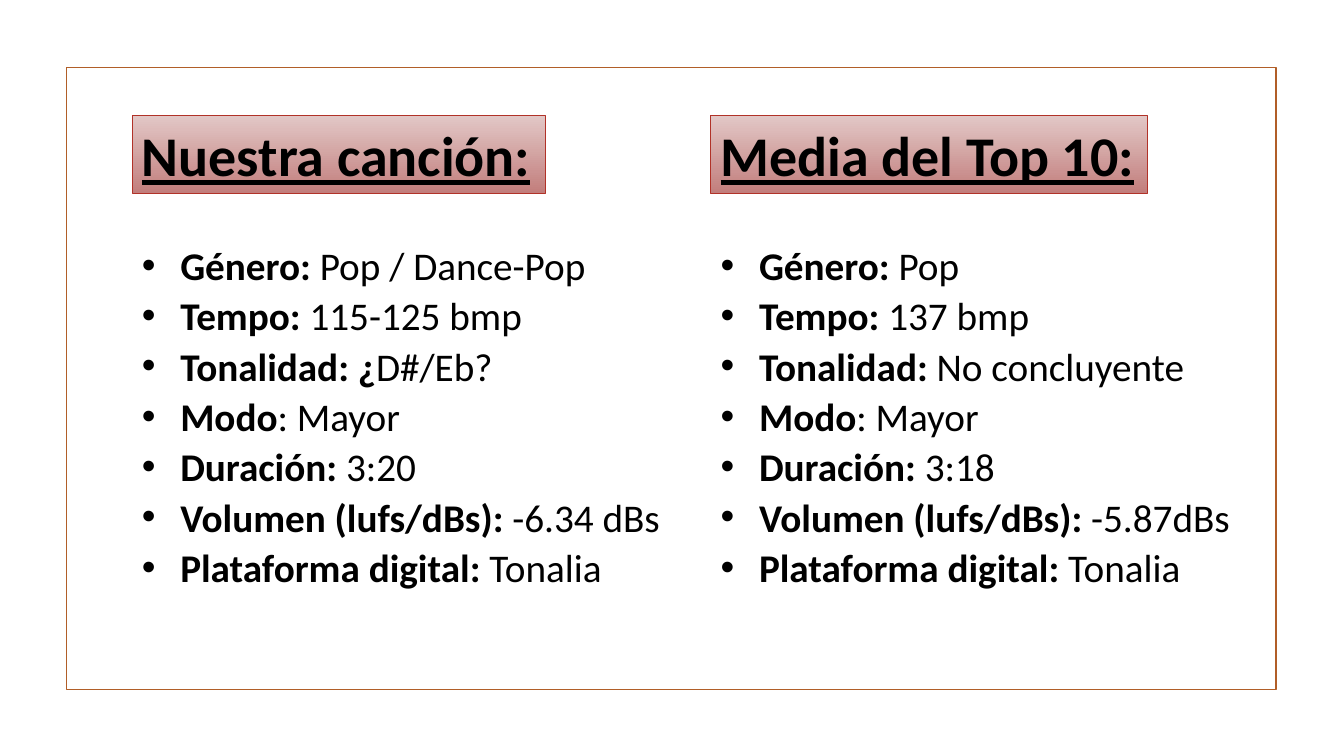
from dataclasses import dataclass

from lxml.etree import SubElement
from pptx import Presentation
from pptx.dml.color import RGBColor
from pptx.enum.shapes import MSO_SHAPE
from pptx.enum.text import MSO_ANCHOR, MSO_AUTO_SIZE, PP_ALIGN
from pptx.oxml.ns import qn
from pptx.util import Inches, Pt

FONT = "Calibri"
BLACK = "000000"
FRAME_LINE = "B15E28"
HEADING_LINE = "B13228"
HEADING_GRADIENT = ("E2C7C6", "C27E7C")
HEADING_FORMAT = {"size": Pt(40), "bold": True, "underline": True}
LABEL_FORMAT = {"size": Pt(28), "bold": True}
VALUE_FORMAT = {"size": Pt(28), "bold": False}
FRAME_FORMAT = {"auto_size": MSO_AUTO_SIZE.SHAPE_TO_FIT_TEXT,
                "vertical_anchor": MSO_ANCHOR.TOP, "word_wrap": True}


@dataclass
class Column:
    left: float
    heading: str
    heading_width: float
    list_width: float
    facts: list[tuple[str, str]]


COLUMNS = [
    Column(1.31, "Nuestra canción:", 4.1, 5.36, [
        ("Género:", " Pop / Dance-Pop"),
        ("Tempo:", " 115-125 bmp"),
        ("Tonalidad: ¿", "D#/Eb?"),
        ("Modo", ": Mayor"),
        ("Duración:", " 3:20"),
        ("Volumen (lufs/dBs): ", "-6.34 dBs"),
        ("Plataforma digital: ", "Tonalia"),
    ]),
    Column(7.05, "Media del Top 10:", 4.33, 5.3, [
        ("Género:", " Pop"),
        ("Tempo:", " 137 bmp"),
        ("Tonalidad: ", "No concluyente"),
        ("Modo", ": Mayor"),
        ("Duración:", " 3:18"),
        ("Volumen (lufs/dBs): ", "-5.87dBs"),
        ("Plataforma digital: ", "Tonalia"),
    ]),
]


def color(value: str) -> RGBColor:
    return RGBColor.from_string(value)


def set_format(target, values: dict) -> None:
    for name, value in values.items():
        setattr(target, name, value)


def add_span(para, text: str, values: dict) -> None:
    span = para.add_run()
    span.text = text
    set_format(span.font, {"name": FONT, **values})
    span.font.color.rgb = color(BLACK)


def add_bullet(para) -> None:
    properties = para._p.get_or_add_pPr()
    properties.set("marL", str(Inches(0.38)))
    properties.set("indent", str(Inches(-0.38)))
    SubElement(properties, qn("a:buFont"), typeface="Arial")
    SubElement(properties, qn("a:buChar"), char="•")


def add_rectangle(page, left: float, top: float, width: float, height: float,
                  line: str, weight: float):
    box = page.shapes.add_shape(MSO_SHAPE.RECTANGLE, Inches(left), Inches(top),
                                Inches(width), Inches(height))
    box.shadow.inherit = False
    box.line.color.rgb = color(line)
    box.line.width = Pt(weight)
    return box


def add_heading(page, column: Column) -> None:
    box = add_rectangle(page, column.left, 1.15, column.heading_width, 0.77,
                        HEADING_LINE, 0.75)
    box.fill.gradient()
    box.fill.gradient_angle = 270
    for position, (stop, shade) in enumerate(zip(box.fill.gradient_stops, HEADING_GRADIENT)):
        stop.position = position
        stop.color.rgb = color(shade)
    set_format(box.text_frame, FRAME_FORMAT)
    para = box.text_frame.paragraphs[0]
    para.alignment = PP_ALIGN.LEFT
    add_span(para, column.heading, HEADING_FORMAT)


def add_facts(page, column: Column) -> None:
    box = page.shapes.add_textbox(Inches(column.left), Inches(2.31),
                                  Inches(column.list_width), Inches(4.05))
    frame = box.text_frame
    set_format(frame, FRAME_FORMAT)
    for index, (label, value) in enumerate(column.facts):
        para = frame.add_paragraph() if index else frame.paragraphs[0]
        add_bullet(para)
        para.line_spacing = 1.07
        add_span(para, label, LABEL_FORMAT)
        add_span(para, value, VALUE_FORMAT)
    para.space_after = Pt(8)


def main() -> None:
    deck = Presentation()
    deck.slide_width, deck.slide_height = Inches(13.33), Inches(7.5)
    page = deck.slides.add_slide(deck.slide_layouts[6])

    # Outer frame
    add_rectangle(page, 0.66, 0.67, 12, 6.17, FRAME_LINE, 1.25).fill.background()

    # Two compared columns
    for column in COLUMNS:
        add_facts(page, column)
        add_heading(page, column)

    deck.save("out.pptx")


if __name__ == "__main__":
    main()
